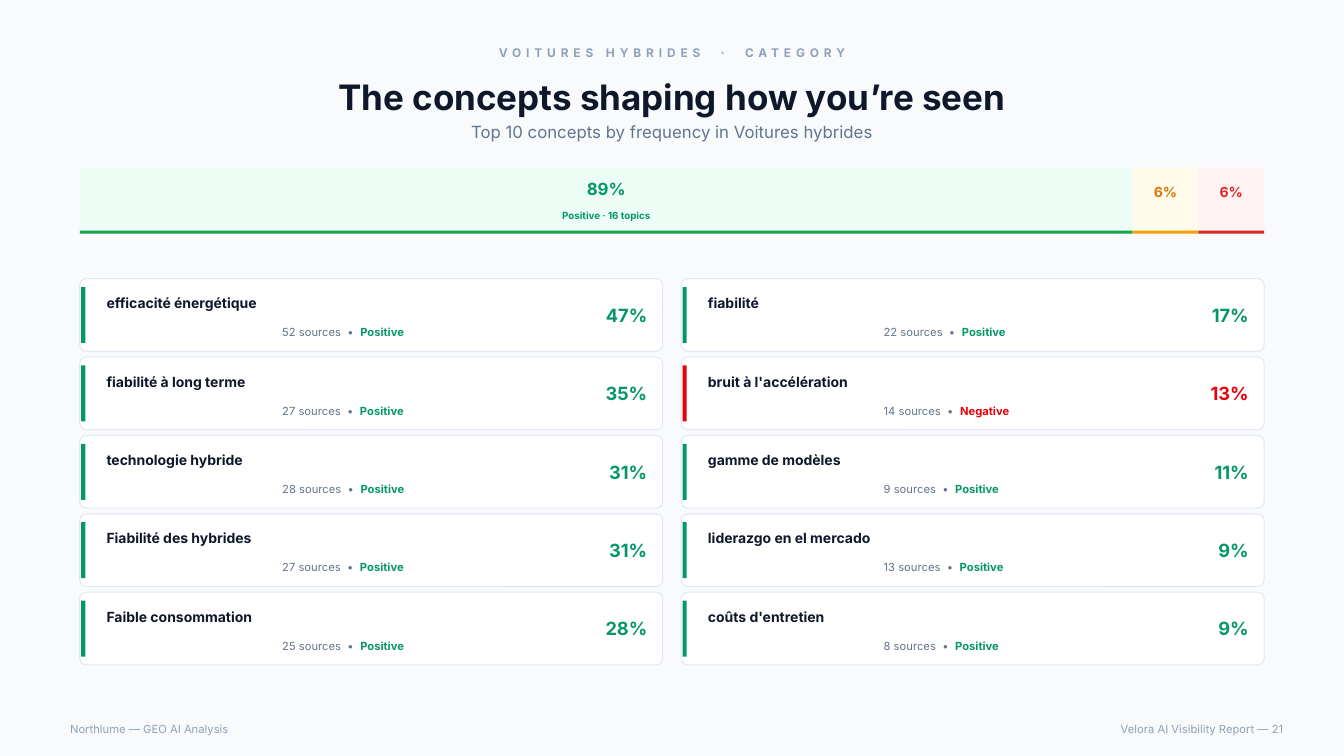
import pptx
import pptx.dml.color
import pptx.enum.shapes
import pptx.enum.text
import pptx.util

Pt = pptx.util.Pt
SHAPES = pptx.enum.shapes.MSO_SHAPE
ALIGN = pptx.enum.text.PP_ALIGN
ANCHOR = pptx.enum.text.MSO_ANCHOR

COLOURS = {
    "page": "F8FAFC", "card": "FFFFFF", "border": "E2E8F0",
    "ink": "0F172A", "muted": "62748E", "faint": "90A1B9",
    "Positive": "059669", "Negative": "E7000B",
    "green": "16A34A", "green tint": "ECFDF5",
    "amber": "F59E0B", "amber tint": "FFFBEB", "amber text": "D97706",
    "red": "DC2626", "red tint": "FEF2F2",
}

# topics, tint, rule colour, text colour, share, caption
SENTIMENTS = [
    (16, "green tint", "green", "Positive", "89%", "Positive · 16 topics"),
    (1, "amber tint", "amber", "amber text", "6%", None),
    (1, "red tint", "red", "red", "6%", None),
]

# name, sources, sentiment, share; the first five fill the left column
CONCEPTS = [
    ("efficacité énergétique", 52, "Positive", "47%"),
    ("fiabilité à long terme", 27, "Positive", "35%"),
    ("technologie hybride", 28, "Positive", "31%"),
    ("Fiabilité des hybrides", 27, "Positive", "31%"),
    ("Faible consommation", 25, "Positive", "28%"),
    ("fiabilité", 22, "Positive", "17%"),
    ("bruit à l'accélération", 14, "Negative", "13%"),
    ("gamme de modèles", 9, "Positive", "11%"),
    ("liderazgo en el mercado", 13, "Positive", "9%"),
    ("coûts d'entretien", 8, "Positive", "9%"),
]
ROWS = 5


def colour(name):
    return pptx.dml.color.RGBColor.from_string(COLOURS[name])


def add_block(page, box, fill, kind=SHAPES.RECTANGLE, border=None):
    shape = page.shapes.add_shape(kind, *map(Pt, box))
    shape.shadow.inherit = False
    shape.fill.solid()
    shape.fill.fore_color.rgb = colour(fill)
    if border:
        shape.line.color.rgb = colour(border)
        shape.line.width = Pt(0.75)
    else:
        shape.line.fill.background()
    return shape


def add_text(page, box, spans, align=ALIGN.LEFT, anchor=ANCHOR.MIDDLE,
             wrap=True, spacing=None):
    """Place one paragraph; each span is (text, size, colour name, bold)."""
    frame = page.shapes.add_textbox(*map(Pt, box)).text_frame
    frame.word_wrap = wrap
    frame.vertical_anchor = anchor
    para = frame.paragraphs[0]
    para.alignment = align
    for text, size, ink, bold in spans:
        span = para.add_run()
        span.text = text
        styles = {"name": "Inter", "size": Pt(size), "bold": bold}
        for key, value in styles.items():
            setattr(span.font, key, value)
        span.font.color.rgb = colour(ink)
        if spacing:
            span._r.get_or_add_rPr().set("spc", str(round(spacing * 100)))


def add_heading(page, left, top, width):
    lines = [
        (0, 18, ("VOITURES HYBRIDES  ·  CATEGORY", 8.5, "faint", True), 3.5),
        (20.2, 40, ("The concepts shaping how you’re seen", 25, "ink", True), None),
        (56.2, 18, ("Top 10 concepts by frequency in Voitures hybrides",
                    12, "muted", False), None),
    ]
    for offset, height, span, spacing in lines:
        add_text(page, (left, top + offset, width, height), [span],
                 ALIGN.CENTER, spacing=spacing)


def add_sentiment_bar(page, left, top, width, height):
    """Split the bar in proportion to the topics of each sentiment."""
    total = sum(sentiment[0] for sentiment in SENTIMENTS)
    rule = 2.2
    for topics, tint, line, ink, share, caption in SENTIMENTS:
        part = width * topics / total
        add_block(page, (left, top, part, height), tint)
        add_block(page, (left, top + height - rule, part, rule), line)
        if caption:
            add_text(page, (left, top + 5, part, 20),
                     [(share, 12, ink, True)], ALIGN.CENTER)
            add_text(page, (left, top + 26, part, 16),
                     [(caption, 7, ink, True)], ALIGN.CENTER)
        else:
            add_text(page, (left, top + 8, part, 18),
                     [(share, 10, ink, True)], ALIGN.CENTER)
        left += part


def add_concept_card(page, left, top, width, height, concept):
    name, sources, sentiment, share = concept
    card = add_block(page, (left, top, width, height), "card",
                     SHAPES.ROUNDED_RECTANGLE, "border")
    card.adjustments[0] = 0.09
    add_block(page, (left + 1, top + 6, 3, height - 12), sentiment)
    add_text(page, (left + 12, top + 8, 326, 19.4),
             [(name, 10, "ink", True)], anchor=ANCHOR.TOP)
    add_text(page, (left + 137.5, top + 30, 201, 16),
             [(f"{sources} sources  •  ", 8, "muted", False),
              (sentiment, 8, sentiment, True)], anchor=ANCHOR.TOP)
    add_text(page, (left + width - 56, top, 52, height),
             [(share, 13, sentiment, True)], ALIGN.RIGHT, wrap=False)


def add_concept_grid(page, left, top, width, height):
    column_gap, row_gap = 13.2, 4
    card_width = (width - column_gap) / 2
    card_height = (height - row_gap * (ROWS - 1)) / ROWS
    for index, concept in enumerate(CONCEPTS):
        column, row = divmod(index, ROWS)
        add_concept_card(page, left + column * (card_width + column_gap),
                         top + row * (card_height + row_gap),
                         card_width, card_height, concept)


def add_footer(page, left, top, width, height):
    half = width / 2
    add_text(page, (left, top, half, height),
             [("Northlume — GEO AI Analysis", 8, "faint", False)])
    add_text(page, (left + half, top, half, height),
             [("Velora AI Visibility Report — 21", 8, "faint", False)],
             ALIGN.RIGHT)


def main():
    deck = pptx.Presentation()
    deck.slide_width, deck.slide_height = Pt(960), Pt(540)
    page = deck.slides.add_slide(deck.slide_layouts[6])
    add_block(page, (0, 0, 960, 540), "page")
    add_heading(page, 43, 28.8, 874)
    add_sentiment_bar(page, 57, 120, 846, 47)
    add_concept_grid(page, 57, 199, 846, 276)
    add_footer(page, 43, 513, 881, 16)
    deck.save("out.pptx")


if __name__ == "__main__":
    main()
